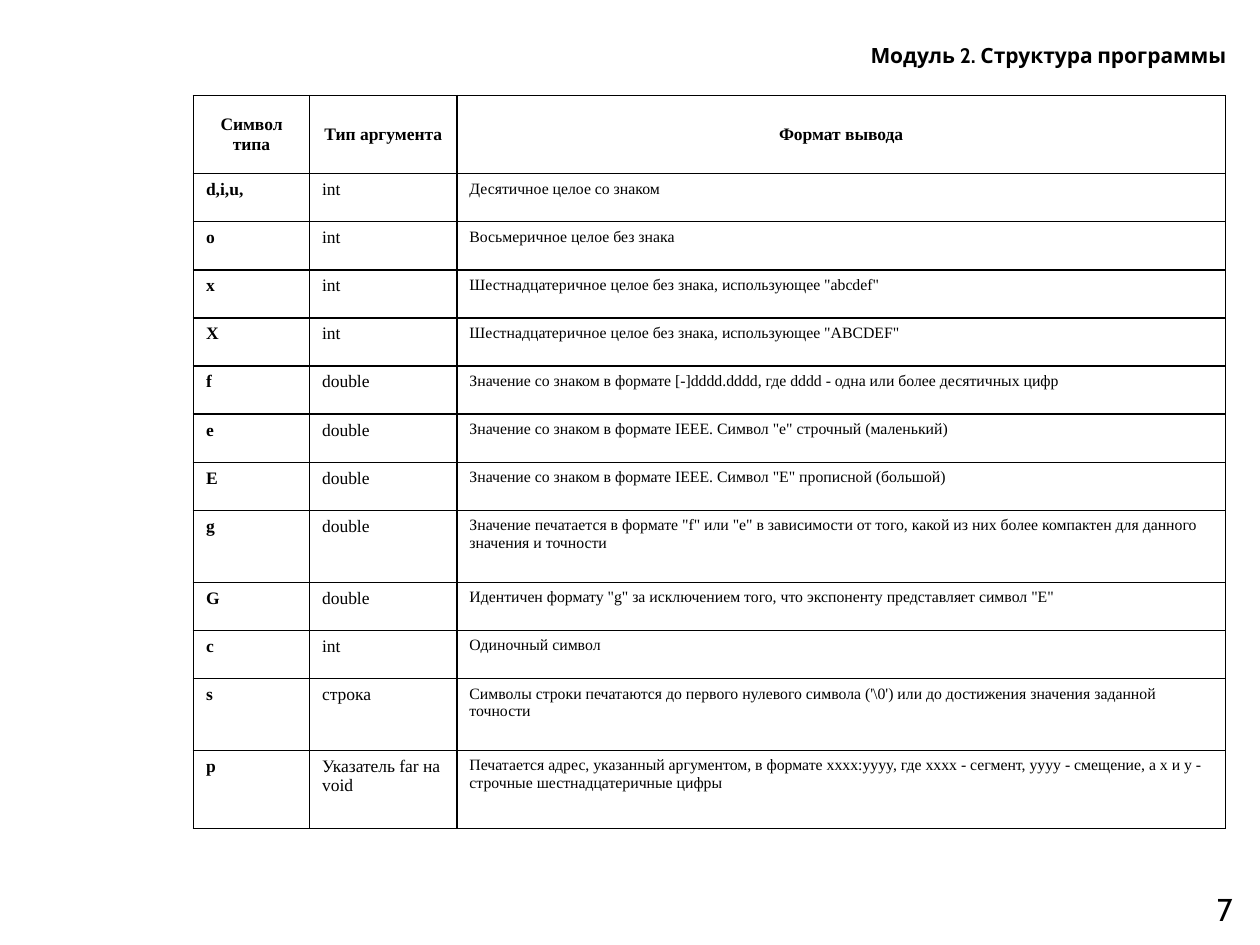
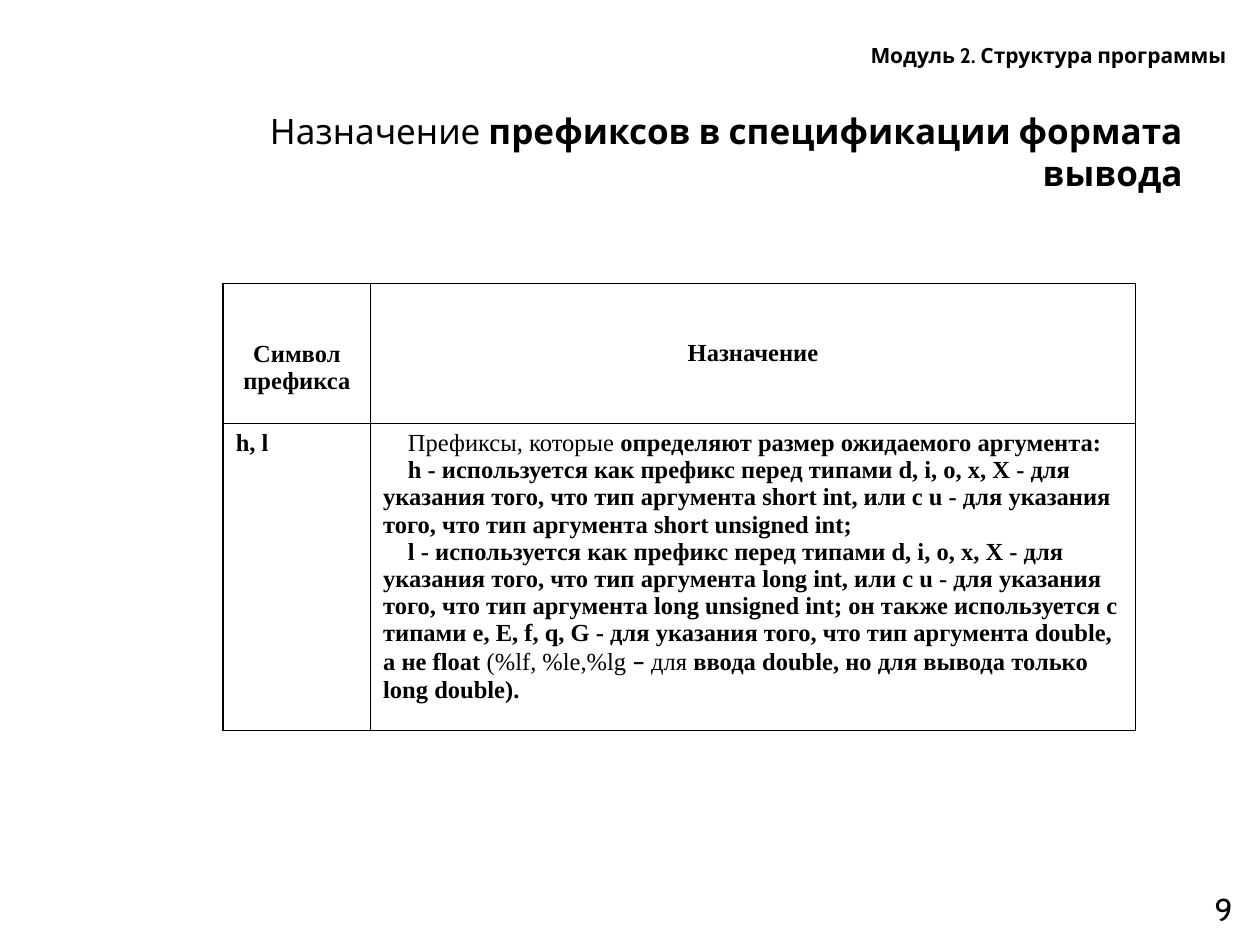
from lxml import etree
from pptx import Presentation
from pptx.dml.color import RGBColor
from pptx.enum.text import MSO_ANCHOR, MSO_AUTO_SIZE, PP_ALIGN
from pptx.oxml.ns import qn
from pptx.util import Cm, Pt

LEFT, CENTER, RIGHT = PP_ALIGN.LEFT, PP_ALIGN.CENTER, PP_ALIGN.RIGHT
TOP, MIDDLE = MSO_ANCHOR.TOP, MSO_ANCHOR.MIDDLE
GROW, FIXED = MSO_AUTO_SIZE.SHAPE_TO_FIT_TEXT, MSO_AUTO_SIZE.NONE

COLORS = {"ink": "000000", "paper": "FFFFFF"}
SANS, SERIF = "Cabin", "Times New Roman"
BLANK_LAYOUT = 6
MODULE = "Модуль 2. Структура программы"

# Boxes and sizes in centimetres: left, top, width, height
MODULE_BOX = (17.3, 0.74, 7.8, 0.76)
NUMBER_BOX = (19.18, 17.81, 5.92, 1.32)
TITLE_BOX = (4.09, 2.08, 20, 1.96)
ONE_LINE, TWO_LINES, TALL = 0.97, 1.45, 1.57

TYPE_HEADINGS = ["Символ типа", "Тип аргумента", "Формат вывода"]
# Symbol, argument type, output format, row height
TYPES = [
    ("d,i,u,", "int", "Десятичное целое со знаком", ONE_LINE),
    ("o", "int", "Восьмеричное целое без знака", ONE_LINE),
    ("x", "int", 'Шестнадцатеричное целое без знака, использующее "abcdef"', ONE_LINE),
    ("X", "int", 'Шестнадцатеричное целое без знака, использующее "ABCDEF"', ONE_LINE),
    ("f", "double", "Значение со знаком в формате [-]dddd.dddd, "
     "где dddd - одна или более десятичных цифр", ONE_LINE),
    ("e", "double", 'Значение со знаком в формате IEEE. Символ "e" строчный (маленький)',
     ONE_LINE),
    ("E", "double", 'Значение со знаком в формате IEEE. Символ "E" прописной (большой)',
     ONE_LINE),
    ("g", "double", 'Значение печатается в формате "f" или "e" в зависимости от того, '
     "какой из них более компактен для данного значения и точности", TWO_LINES),
    ("G", "double", 'Идентичен формату "g" за исключением того, '
     'что экспоненту представляет символ "E"', ONE_LINE),
    ("c", "int", "Одиночный символ", ONE_LINE),
    ("s", "строка", "Символы строки печатаются до первого нулевого символа ('\\0') "
     "или до достижения значения заданной точности", TWO_LINES),
    ("p", "Указатель far на void", "Печатается адрес, указанный аргументом, в формате "
     "xxxx:yyyy, где xxxx - сегмент, yyyy - смещение, а x и y - "
     "строчные шестнадцатеричные цифры", TALL),
]

# Paragraphs of runs; a run is a string or (string, changed format)
REGULAR = {"bold": False}
PREFIX_TITLE = [["Назначение ",
                 ("префиксов в спецификации формата вывода", {"bold": True})]]
PREFIX_MEANING = [
    [("Префиксы, которые ", REGULAR), "определяют размер ожидаемого аргумента:"],
    ["h - используется как префикс перед типами d, i, o, x, X - для указания того, "
     "что тип аргумента short int, или с u - для указания того, "
     "что тип аргумента short unsigned int;"],
    ["l - используется как префикс перед типами d, i, o, x, X - для указания того, "
     "что тип аргумента long int, или с u - для указания того, "
     "что тип аргумента long unsigned int; он также используется с типами "
     "e, E, f, q, G - для указания того, что тип аргумента double, а не float ",
     ("(%lf, %le,%lg ", REGULAR), ("–", {"bold": False, "font": SANS}),
     (" для ", REGULAR),
     "ввода double, но для вывода только long double)."],
]


def write(frame, text, size=12, font=SANS, bold=False, color="ink", align=LEFT, indent=0):
    """Fill a text frame from a string or a list of paragraphs of runs."""
    paragraphs = [[text]] if isinstance(text, str) else text
    for index, runs in enumerate(paragraphs):
        paragraph = frame.add_paragraph() if index else frame.paragraphs[0]
        paragraph.alignment = align
        if indent:
            properties = paragraph._p.get_or_add_pPr()
            properties.set("marL", "0")
            properties.set("indent", str(Cm(indent)))
        for item in runs:
            words, changes = (item, {}) if isinstance(item, str) else item
            run = paragraph.add_run()
            run.text = words
            run.font.size = Pt(size)
            run.font.name = changes.get("font", font)
            run.font.bold = changes.get("bold", bold)
            run.font.color.rgb = RGBColor.from_string(COLORS[color])


def add_text(slide, box, text, anchor=TOP, wrap=True, fit=FIXED, **fmt):
    frame = slide.shapes.add_textbox(*map(Cm, box)).text_frame
    frame.word_wrap = wrap
    frame.auto_size = fit
    frame.vertical_anchor = anchor
    write(frame, text, **fmt)


def add_borders(cell):
    properties = cell._tc.get_or_add_tcPr()
    for side in ("lnL", "lnR", "lnT", "lnB"):
        line = etree.SubElement(properties, qn("a:" + side), w=str(Pt(1)))
        fill = etree.SubElement(line, qn("a:solidFill"))
        etree.SubElement(fill, qn("a:srgbClr"), val=COLORS["ink"])


def add_grid(slide, left, top, widths, heights):
    """Bordered table without banding, sized by its columns and rows."""
    table = slide.shapes.add_table(len(heights), len(widths), Cm(left), Cm(top),
                                   Cm(sum(widths)), Cm(sum(heights))).table
    table.first_row = table.horz_banding = False
    for column, width in zip(table.columns, widths):
        column.width = Cm(width)
    for row, height in zip(table.rows, heights):
        row.height = Cm(height)
    for cell in table.iter_cells():
        add_borders(cell)
        cell.fill.background()
    return table


def write_headings(table, headings, size):
    for column, heading in enumerate(headings):
        cell = table.cell(0, column)
        cell.vertical_anchor = MIDDLE
        write(cell.text_frame, heading, size=size, font=SERIF, bold=True, align=CENTER)


def add_page(deck, number):
    """Slide with the shared page number and module line."""
    slide = deck.slides.add_slide(deck.slide_layouts[BLANK_LAYOUT])
    slide.background.fill.solid()
    slide.background.fill.fore_color.rgb = RGBColor.from_string(COLORS["paper"])
    add_text(slide, NUMBER_BOX, str(number), size=18, align=RIGHT)
    add_text(slide, MODULE_BOX, MODULE, wrap=False, fit=GROW, bold=True)
    return slide


def add_type_table(slide, left, top):
    heights = [TALL] + [entry[-1] for entry in TYPES]
    table = add_grid(slide, left, top, [2.34, 2.97, 15.49], heights)
    write_headings(table, TYPE_HEADINGS, size=10)
    formats = [{"size": 10, "bold": True}, {"size": 10}, {"size": 9}]
    for row, entry in enumerate(TYPES, start=1):
        for column, fmt in enumerate(formats):
            write(table.cell(row, column).text_frame, entry[column], font=SERIF, **fmt)


def add_prefix_table(slide, left, top):
    table = add_grid(slide, left, top, [2.97, 15.42], [2.82, 6.18])
    write_headings(table, ["Символ префикса", "Назначение"], size=14)
    # The first heading sits half a line lower than the second
    table.cell(0, 0).margin_top = Cm(0.69)
    body = {"size": 14, "font": SERIF, "bold": True}
    write(table.cell(1, 0).text_frame, "h, l", **body)
    write(table.cell(1, 1).text_frame, PREFIX_MEANING, indent=0.5, **body)


deck = Presentation()
deck.slide_width, deck.slide_height = Cm(25.4), Cm(19.05)

# Type symbols
types_slide = add_page(deck, 7)
add_type_table(types_slide, 3.9, 1.93)

# Prefixes
prefix_slide = add_page(deck, 9)
add_text(prefix_slide, TITLE_BOX, PREFIX_TITLE, anchor=MIDDLE, fit=GROW, size=20, align=RIGHT)
add_prefix_table(prefix_slide, 4.5, 5.72)

deck.save("out.pptx")
